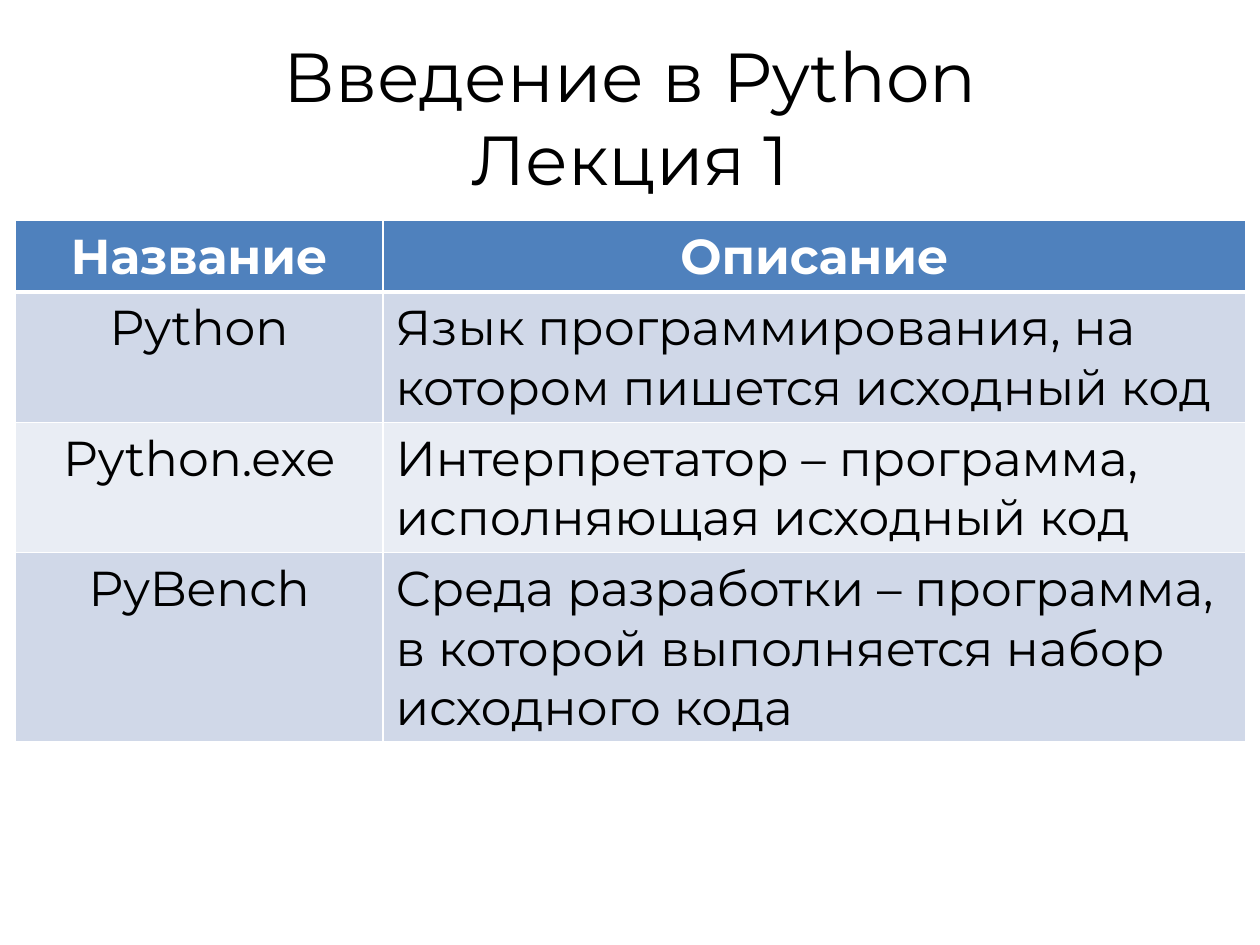
from lxml.etree import SubElement
from pptx import Presentation
from pptx.dml.color import RGBColor
from pptx.enum.text import MSO_ANCHOR as Anchor, PP_ALIGN as Align
from pptx.oxml.ns import qn
from pptx.util import Inches, Pt

COLORS = {
    "text": "000000",
    "white": "FFFFFF",
    "header": "4F81BD",
    "odd": "D0D8E8",
    "even": "E9EDF4",
}
ROWS = [
    ("Название", "Описание"),
    ("Python", "Язык программирования, на котором пишется исходный код"),
    ("Python.exe", "Интерпретатор – программа, исполняющая исходный код"),
    ("PyBench", "Среда разработки – программа, в которой выполняется набор исходного кода"),
]


class LectureSlide:
    """Holds the lecture style and adds elements to the current slide."""

    font_name = "Montserrat"
    title_size = 39.6
    table_size = 28

    def __init__(self, slide):
        self.slide = slide

    def color(self, name):
        return RGBColor.from_string(COLORS[name])

    def set_text(self, text_frame, text, size, color, align, bold=False):
        text_frame.text = text
        paragraph = text_frame.paragraphs[0]
        paragraph.alignment = align
        font = paragraph.font
        font.name, font.size, font.bold = self.font_name, Pt(size), bold
        font.color.rgb = self.color(color)

    def title(self, text, left, top, width, height):
        shape = self.slide.shapes.add_textbox(
            Inches(left), Inches(top), Inches(width), Inches(height))
        shape.text_frame.word_wrap = True
        shape.text_frame.vertical_anchor = Anchor.MIDDLE
        self.set_text(shape.text_frame, text, self.title_size, "text", Align.CENTER)

    def borders(self, cell, bottom):
        properties = cell._tc.get_or_add_tcPr()
        sides = {"a:lnL": 1, "a:lnR": 1, "a:lnT": 1, "a:lnB": bottom}
        for side, width in sides.items():
            line = SubElement(properties, qn(side), w=str(Pt(width)))
            fill = SubElement(line, qn("a:solidFill"))
            SubElement(fill, qn("a:srgbClr"), val=COLORS["white"])

    def table(self, rows, left, top, widths, row_height, height):
        frame = self.slide.shapes.add_table(
            len(rows), len(widths), Inches(left), Inches(top),
            Inches(sum(widths)), Inches(height))
        table = frame.table
        for column, width in zip(table.columns, widths):
            column.width = Inches(width)
        for row_index, values in enumerate(rows):
            table.rows[row_index].height = Inches(row_height)
            header = row_index == 0
            fill = "header" if header else ("even", "odd")[row_index % 2]
            for column_index, text in enumerate(values):
                cell = table.cell(row_index, column_index)
                centered = header or column_index == 0
                self.set_text(cell.text_frame, text, self.table_size,
                              "white" if header else "text",
                              Align.CENTER if centered else Align.LEFT, header)
                self.borders(cell, 3 if header else 1)
                cell.fill.solid()
                cell.fill.fore_color.rgb = self.color(fill)
        frame.height = Inches(height)


def main():
    presentation = Presentation()
    presentation.slide_width = Inches(10)
    presentation.slide_height = Inches(7.5)
    lecture = LectureSlide(
        presentation.slides.add_slide(presentation.slide_layouts[6]))
    lecture.title("Введение в Python\vЛекция 1", 0.5, 0.3, 9, 1.25)
    lecture.table(ROWS, 0.12, 1.75, (2.92, 6.85), 0.41, 5.07)
    presentation.save("out.pptx")


if __name__ == "__main__":
    main()
